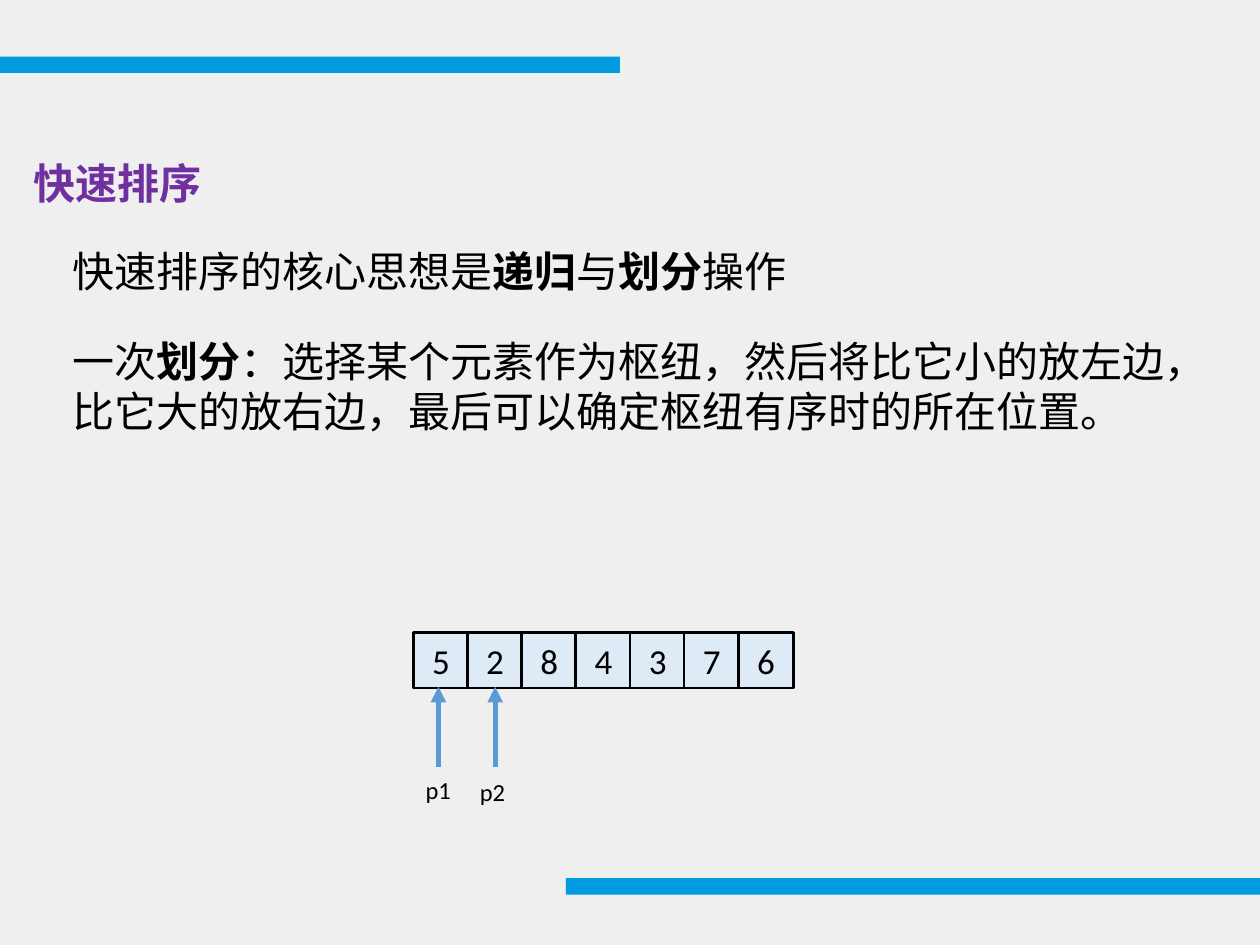
import pptx
import pptx.dml.color
import pptx.enum.shapes
import pptx.enum.text
import pptx.oxml
import pptx.oxml.ns
import pptx.util

WIDTH, HEIGHT = 10, 7.5
FONT = "Calibri"
BLACK, PURPLE, BAR_BLUE = "000000", "7030A0", "009BE1"
CELL_FILL, ARROW_BLUE, BACKGROUND = "DEEBF7", "5B9BD5", "EFEFEF"

ARRAY_LEFT, ARRAY_TOP = 3.28, 5.02
CELL_SIZE, CELL_PITCH = 0.44, 0.43


def inches(*lengths):
    return [pptx.util.Inches(length) for length in lengths]


def color(hex_string):
    return pptx.dml.color.RGBColor.from_string(hex_string)


def paint(fill, hex_string):
    fill.solid()
    fill.fore_color.rgb = color(hex_string)


def write(shape, runs, size, hex_string=BLACK):
    """Fill the first paragraph with (text, bold) runs."""
    shape.text_frame.auto_size = pptx.enum.text.MSO_AUTO_SIZE.SHAPE_TO_FIT_TEXT
    paragraph = shape.text_frame.paragraphs[0]
    for text, bold in runs:
        run = paragraph.add_run()
        run.text = text
        run.font.name = FONT
        run.font.size = pptx.util.Pt(size)
        run.font.bold = bold
        run.font.color.rgb = color(hex_string)
    return paragraph


def add_text(slide, box, runs, size=24, hex_string=BLACK, wrap=True):
    shape = slide.shapes.add_textbox(*inches(*box))
    shape.text_frame.word_wrap = wrap
    write(shape, runs, size, hex_string)


def add_rectangle(slide, box, fill):
    rectangle = slide.shapes.add_shape(
        pptx.enum.shapes.MSO_SHAPE.RECTANGLE, *inches(*box))
    rectangle.shadow.inherit = False
    paint(rectangle.fill, fill)
    rectangle.line.fill.background()
    return rectangle


def add_cell(slide, column, value):
    left = ARRAY_LEFT + column * CELL_PITCH
    cell = add_rectangle(slide, (left, ARRAY_TOP, CELL_SIZE, CELL_SIZE), CELL_FILL)
    paint(cell.line.fill, BLACK)
    cell.line.width = pptx.util.Pt(1.5)
    paragraph = write(cell, [(value, False)], 20)
    paragraph.alignment = pptx.enum.text.PP_ALIGN.CENTER


def add_arrow(slide, start, end):
    arrow = slide.shapes.add_connector(
        pptx.enum.shapes.MSO_CONNECTOR.STRAIGHT, *inches(*start, *end))
    paint(arrow.line.fill, ARROW_BLUE)
    arrow.line.width = pptx.util.Pt(3)
    namespace = pptx.oxml.ns.nsdecls("a")
    arrow.line._get_or_add_ln().append(
        pptx.oxml.parse_xml(f'<a:tailEnd {namespace} type="triangle"/>'))
    arrow._element.spPr.append(pptx.oxml.parse_xml(f"<a:effectLst {namespace}/>"))


def add_pointer(slide, column, label, arrow_x, label_top):
    """Mark an array cell with an arrow from below and a label."""
    add_arrow(slide, (arrow_x, 6.09), (arrow_x, 5.45))
    left = ARRAY_LEFT + column * CELL_PITCH
    add_text(slide, (left, label_top, CELL_PITCH, 0.34), [(label, False)], size=14)


def main():
    presentation = pptx.Presentation()
    presentation.slide_width, presentation.slide_height = inches(WIDTH, HEIGHT)
    slide = presentation.slides.add_slide(presentation.slide_layouts[6])
    paint(slide.background.fill, BACKGROUND)

    add_rectangle(slide, (0, 0.45, 4.92, 0.13), BAR_BLUE)
    add_rectangle(slide, (4.49, 6.97, WIDTH - 4.49, 0.13), BAR_BLUE)

    add_text(slide, (0.17, 1.2, 1.54, 0.5), [("快速排序", True)],
             hex_string=PURPLE, wrap=False)
    add_text(slide, (0.48, 1.9, 8.02, 0.5), [
        ("快速排序的核心思想是", False), ("递归", True), ("与", False),
        ("划分", True), ("操作", False)])
    add_text(slide, (0.48, 2.61, 8.95, 0.91), [
        ("一次", False), ("划分", True),
        ("：选择某个元素作为枢纽，然后将比它小的放左边，"
         "比它大的放右边，最后可以确定枢纽有序时的所在位置。", False)])

    for column, value in enumerate("5284376"):
        add_cell(slide, column, value)
    add_pointer(slide, 0, "p1", arrow_x=3.48, label_top=6.1)
    add_pointer(slide, 1, "p2", arrow_x=3.93, label_top=6.12)

    presentation.save("out.pptx")


if __name__ == "__main__":
    main()
